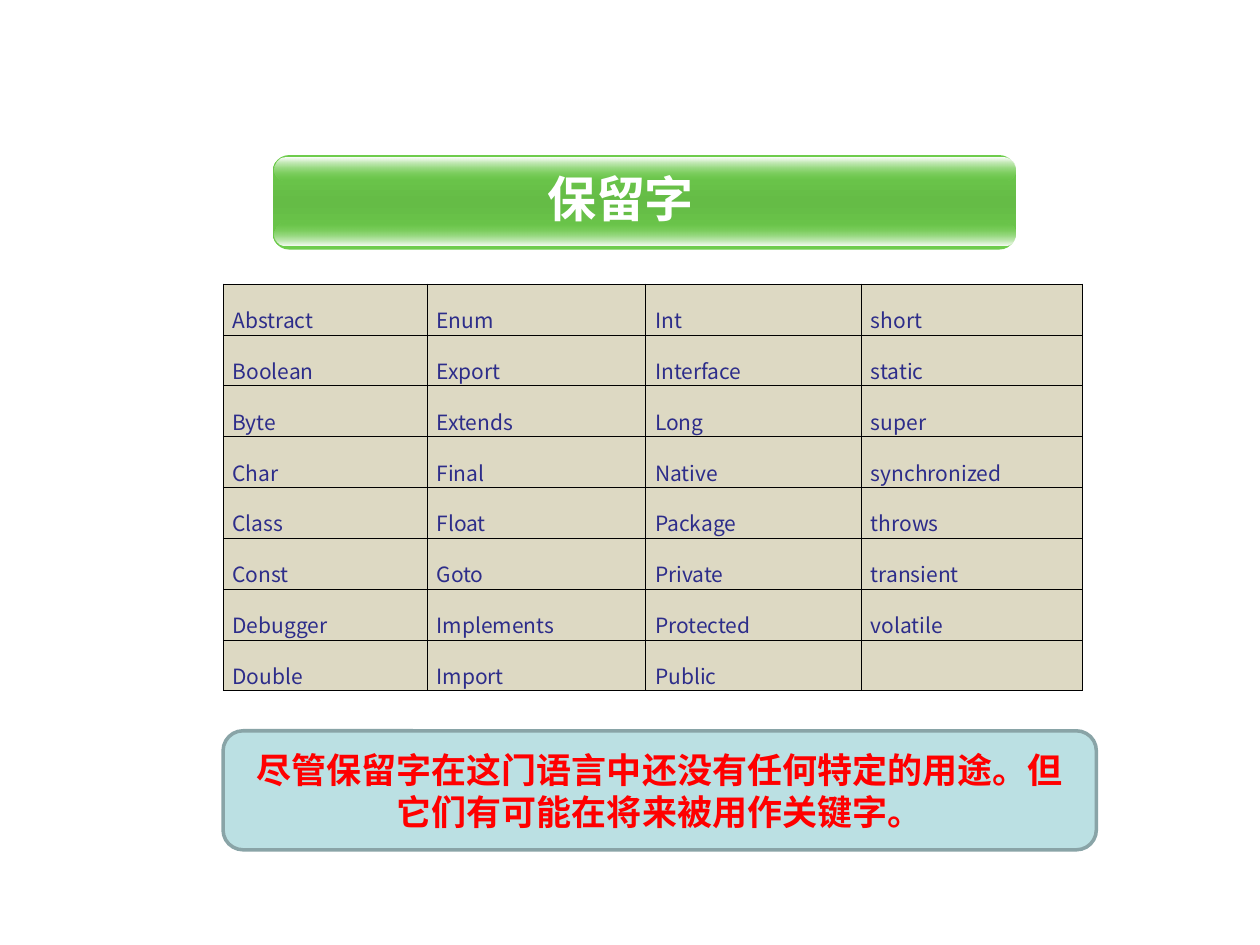
from dataclasses import dataclass

from lxml.etree import SubElement
from pptx import Presentation
from pptx.dml.color import RGBColor
from pptx.enum.shapes import MSO_SHAPE
from pptx.enum.text import MSO_ANCHOR, PP_ALIGN
from pptx.oxml.ns import qn
from pptx.util import Pt


@dataclass(frozen=True)
class Theme:
    """Colours, fonts and type sizes of the slide."""
    green: str = "6ECC4C"
    dark_green: str = "65BC46"
    white: str = "FFFFFF"
    cell: str = "DDD9C3"
    cell_text: str = "2D2D8A"
    border: str = "000000"
    note: str = "BBE0E3"
    note_line: str = "89A4A7"
    note_text: str = "FF0000"
    latin_font: str = "Arial"
    chinese_font: str = "Noto Sans CJK SC"
    title_size: int = 28
    note_size: int = 20
    cell_size: int = 12


THEME = Theme()
RESERVED_WORDS = [
    ["Abstract", "Enum", "Int", "short"],
    ["Boolean", "Export", "Interface", "static"],
    ["Byte", "Extends", "Long", "super"],
    ["Char", "Final", "Native", "synchronized"],
    ["Class", "Float", "Package", "throws"],
    ["Const", "Goto", "Private", "transient"],
    ["Debugger", "Implements", "Protected", "volatile"],
    ["Double", "Import", "Public", ""],
]


def add_text(paragraph, text, size, color, font, bold=False):
    """Add one formatted run to a paragraph."""
    run = paragraph.add_run()
    run.text = text
    run.font.size = Pt(size)
    run.font.bold = bold
    run.font.color.rgb = RGBColor.from_string(color)
    run.font.name = font
    properties = run.font._element
    SubElement(properties, qn("a:ea"), typeface=THEME.chinese_font)


def add_rounded_bar(shapes, box, adjustment):
    """Add a rounded rectangle without line or shadow."""
    shape = shapes.add_shape(MSO_SHAPE.ROUNDED_RECTANGLE, *map(Pt, box))
    shape.adjustments[0] = adjustment
    shape.shadow.inherit = False
    shape.line.fill.background()
    return shape


def fill_vertical_gradient(shape, stops):
    """Fill a shape from top to bottom with (percent, colour, opacity) stops."""
    shape.fill.gradient()
    gradient = shape.element.spPr.find(qn("a:gradFill"))
    for child in list(gradient):
        gradient.remove(child)
    stop_list = SubElement(gradient, qn("a:gsLst"))
    for percent, color, opacity in stops:
        stop = SubElement(stop_list, qn("a:gs"), pos=str(percent * 1000))
        color_element = SubElement(stop, qn("a:srgbClr"), val=color)
        if opacity < 100:
            SubElement(color_element, qn("a:alpha"), val=str(opacity * 1000))
    SubElement(gradient, qn("a:lin"), ang="5400000", scaled="0")


def add_banner(slide, box, title_box, text):
    """Place the glossy green banner and the slide title on it."""
    left, top, width, height = box
    shapes = slide.shapes.add_group_shape().shapes
    bar = add_rounded_bar(shapes, box, 0.175)
    fill_vertical_gradient(bar, [(0, THEME.green, 100), (50, THEME.dark_green, 100),
                                 (100, THEME.green, 100)])
    gloss_height = 13
    clear, bright = (THEME.green, 0), (THEME.white, 100)
    glosses = [(top + height - gloss_height - 2.2, clear, bright),
               (top + 1.4, bright, clear)]
    for gloss_top, start, end in glosses:
        gloss = add_rounded_bar(
            shapes, (left + 1.2, gloss_top, width - 1.5, gloss_height), 0.5)
        fill_vertical_gradient(gloss, [(0, *start), (100, *end)])

    title = slide.shapes.title
    title.left, title.top, title.width, title.height = map(Pt, title_box)
    title.element.getparent().append(title.element)
    title.text_frame.word_wrap = True
    title.text_frame.vertical_anchor = MSO_ANCHOR.TOP
    paragraph = title.text_frame.paragraphs[0]
    paragraph.alignment = PP_ALIGN.CENTER
    add_text(paragraph, text, THEME.title_size, THEME.white, THEME.chinese_font, True)


def format_cell(cell):
    """Give a cell its borders, margins and fill."""
    properties = cell._tc.get_or_add_tcPr()
    for side in ("lnL", "lnR", "lnT", "lnB"):
        line = SubElement(properties, qn(f"a:{side}"), w=str(Pt(0.45)))
        fill = SubElement(line, qn("a:solidFill"))
        SubElement(fill, qn("a:srgbClr"), val=THEME.border)
    cell.fill.solid()
    cell.fill.fore_color.rgb = RGBColor.from_string(THEME.cell)
    cell.margin_left = cell.margin_right = Pt(5.4)
    cell.margin_top, cell.margin_bottom = Pt(2.8), Pt(0)


def add_word_table(slide, box, column_widths, words):
    """Place the table of reserved words."""
    frame = slide.shapes.add_table(len(words), len(words[0]), *map(Pt, box))
    table = frame.table
    table.first_row = table.horz_banding = False
    for column, width in zip(table.columns, column_widths):
        column.width = Pt(width)
    for row, row_words in zip(table.rows, words):
        row.height = Pt(box[3] / len(words))
        for cell, word in zip(row.cells, row_words):
            format_cell(cell)
            if word:
                paragraph = cell.text_frame.paragraphs[0]
                paragraph.alignment = PP_ALIGN.JUSTIFY
                paragraph.line_spacing = 1.5
                add_text(paragraph, word, THEME.cell_size, THEME.cell_text,
                         THEME.chinese_font)


def add_note(slide, box, text):
    """Place the rounded note with centred red text."""
    note = add_rounded_bar(slide.shapes, box, 0.167)
    note.fill.solid()
    note.fill.fore_color.rgb = RGBColor.from_string(THEME.note)
    note.line.color.rgb = RGBColor.from_string(THEME.note_line)
    note.line.width = Pt(2)
    note.text_frame.word_wrap = True
    note.text_frame.vertical_anchor = MSO_ANCHOR.MIDDLE
    paragraph = note.text_frame.paragraphs[0]
    paragraph.alignment = PP_ALIGN.CENTER
    add_text(paragraph, text, THEME.note_size, THEME.note_text, THEME.latin_font, True)


def main():
    """Build and save the reserved words slide."""
    presentation = Presentation()
    presentation.slide_width, presentation.slide_height = Pt(720), Pt(540)
    slide = presentation.slides.add_slide(presentation.slide_layouts[5])
    add_word_table(slide, (127.5, 162.3, 491, 232.5),
                   (116.6, 124.9, 123.3, 126.2), RESERVED_WORDS)
    add_note(slide, (127.5, 417.6, 499, 68),
             "尽管保留字在这门语言中还没有任何特定的用途。但它们有可能在将来被用作关键字。")
    add_banner(slide, (155.8, 88.6, 424.8, 54), (232.6, 92.9, 244, 41), "保留字")
    presentation.save("out.pptx")


if __name__ == "__main__":
    main()
